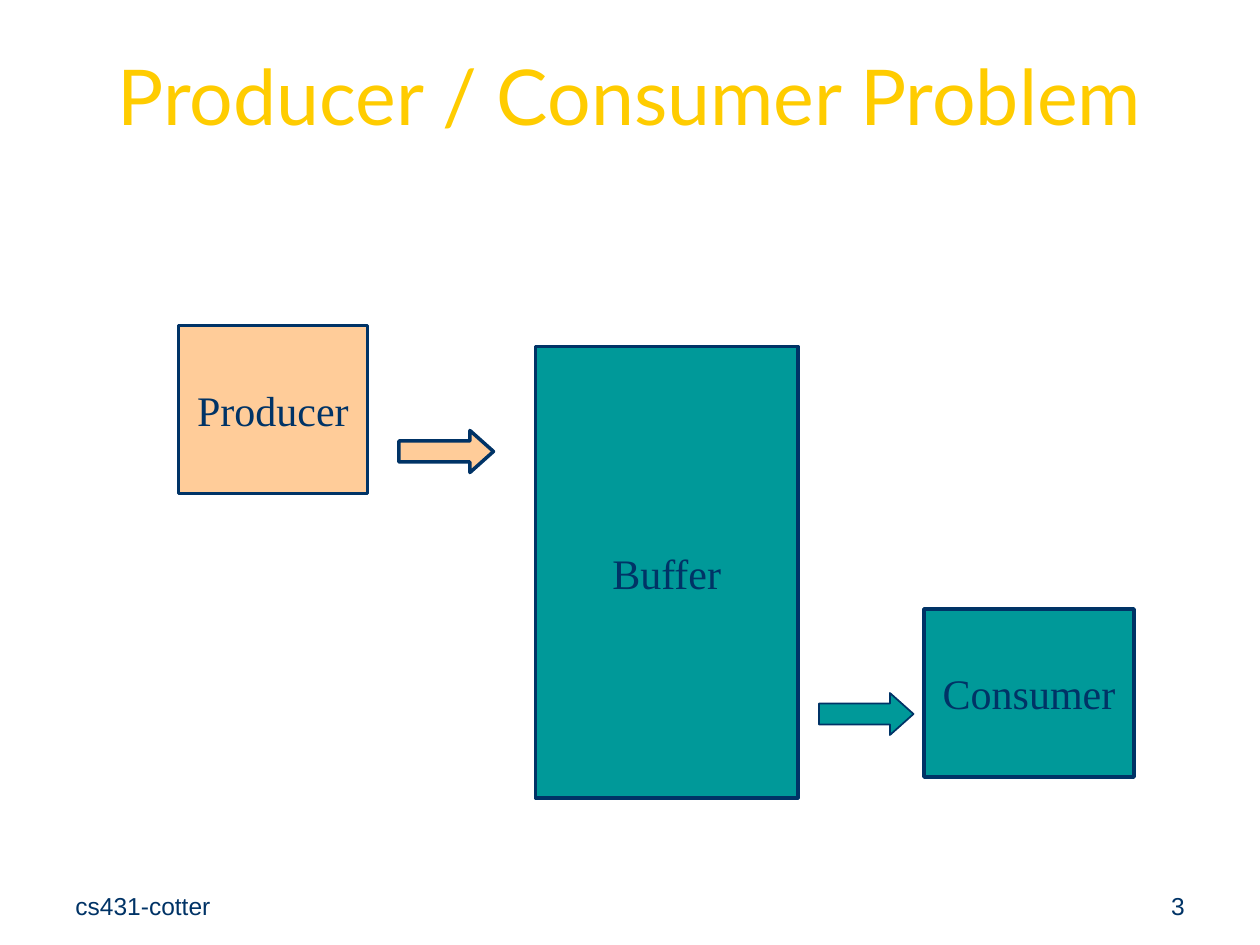
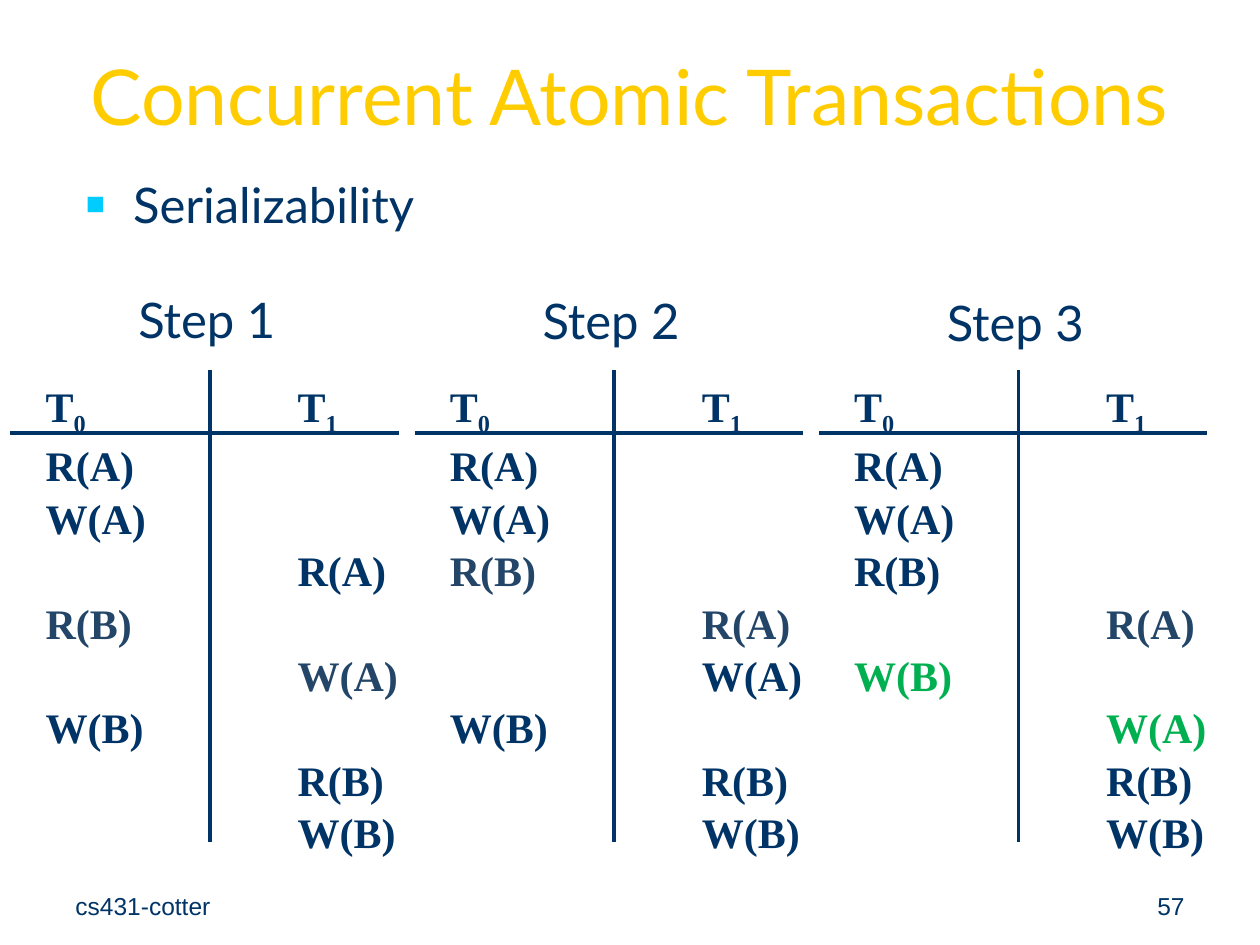
from lxml.etree import SubElement
from pptx import Presentation
from pptx.dml.color import RGBColor
from pptx.enum.shapes import MSO_CONNECTOR as Connector, MSO_SHAPE as Preset
from pptx.enum.text import MSO_ANCHOR as Anchor, PP_ALIGN as Align
from pptx.oxml.ns import qn
from pptx.util import Pt

NAVY = RGBColor(0x00, 0x33, 0x66)
SLATE = RGBColor(0x22, 0x45, 0x68)
GOLD = RGBColor(0xFF, 0xCC, 0x00)
TEAL = RGBColor(0x00, 0x99, 0x99)
PEACH = RGBColor(0xFF, 0xCC, 0x99)
GREEN = RGBColor(0x00, 0xB0, 0x50)
CYAN = "00CCFF"

HEADING_FONT, FOOTER_FONT, DIAGRAM_FONT = "Lato", "Arial", "Times New Roman"
OPERATIONS = ("R(A)", "W(A)", "R(B)", "W(B)")
STEP_PITCH = 231
STEPS = (
    ("Step 1", 162, "00101011", {3: SLATE, 4: SLATE}),
    ("Step 2", 162.5, "00011011", {2: SLATE, 3: SLATE}),
    ("Step 3", 163.5, "00010111", {3: SLATE, 4: GREEN, 5: GREEN}),
)


class Deck:
    """Draws the lecture's slide elements in one shared style."""

    def __init__(self):
        self.presentation = Presentation()
        self.presentation.slide_width = Pt(720)
        self.presentation.slide_height = Pt(540)
        self.slide = None

    def new_slide(self, title, number):
        self.slide = self.presentation.slides.add_slide(self.presentation.slide_layouts[6])
        self.text(title, 36, 0, 648, 108, 44, HEADING_FONT, GOLD, Align.CENTER, Anchor.MIDDLE)
        self.text("cs431-cotter", 36, 492, 168, 37.5, 14, FOOTER_FONT, anchor=Anchor.BOTTOM)
        self.text(str(number), 516, 492, 168, 37.5, 14, FOOTER_FONT,
                  align=Align.RIGHT, anchor=Anchor.BOTTOM)

    def style(self, font, size, family, color, bold=False):
        font.size, font.name, font.bold = Pt(size), family, bold
        font.color.rgb = color

    def frame(self, left, top, width, height, anchor=Anchor.TOP):
        frame = self.slide.shapes.add_textbox(Pt(left), Pt(top), Pt(width), Pt(height)).text_frame
        frame.word_wrap = True
        frame.vertical_anchor = anchor
        return frame

    def text(self, words, left, top, width, height, size, family,
             color=NAVY, align=Align.LEFT, anchor=Anchor.TOP):
        paragraph = self.frame(left, top, width, height, anchor).paragraphs[0]
        paragraph.text = words
        paragraph.alignment = align
        self.style(paragraph.runs[0].font, size, family, color)
        return paragraph

    def bullet(self, words, left, top, width, height):
        paragraph = self.text(words, left, top, width, height, 28, HEADING_FONT)
        properties = paragraph._p.get_or_add_pPr()
        properties.set("marL", str(Pt(27)))
        properties.set("indent", str(Pt(-27)))
        SubElement(SubElement(properties, qn("a:buClr")), qn("a:srgbClr")).set("val", CYAN)
        SubElement(properties, qn("a:buSzPct")).set("val", "65000")
        SubElement(properties, qn("a:buFont")).set("typeface", FOOTER_FONT)
        SubElement(properties, qn("a:buChar")).set("char", "■")

    def shape(self, preset, left, top, width, height, fill, weight=2):
        shape = self.slide.shapes.add_shape(preset, Pt(left), Pt(top), Pt(width), Pt(height))
        shape.shadow.inherit = False
        shape.fill.solid()
        shape.fill.fore_color.rgb = fill
        shape.line.color.rgb = NAVY
        shape.line.width = Pt(weight)
        return shape

    def box(self, label, left, top, width, height, fill):
        frame = self.shape(Preset.RECTANGLE, left, top, width, height, fill).text_frame
        frame.text = label
        frame.word_wrap = False
        frame.vertical_anchor = Anchor.MIDDLE
        frame.paragraphs[0].alignment = Align.CENTER
        self.style(frame.paragraphs[0].runs[0].font, 24, DIAGRAM_FONT, NAVY)

    def arrow(self, left, top, fill, weight):
        arrow = self.shape(Preset.RIGHT_ARROW, left, top, 54, 24, fill, weight)
        arrow.adjustments[1] = 0.56

    def line(self, x1, y1, x2, y2):
        line = self.slide.shapes.add_connector(Connector.STRAIGHT, Pt(x1), Pt(y1), Pt(x2), Pt(y2))
        line.line.color.rgb = NAVY
        line.line.width = Pt(2)
        SubElement(line._element.spPr, qn("a:effectLst"))

    def row(self, paragraph, pieces, color):
        tabs = SubElement(paragraph._p.get_or_add_pPr(), qn("a:tabLst"))
        tab = SubElement(tabs, qn("a:tab"))
        tab.set("pos", str(Pt(144)))
        tab.set("algn", "l")
        for words, lowered in pieces:
            run = paragraph.add_run()
            run.text = words
            self.style(run.font, 24, DIAGRAM_FONT, color, bold=True)
            if lowered:
                run._r.get_or_add_rPr().set("baseline", "-25000")

    def schedule(self, left, order, highlights):
        frame = self.frame(left + 13, 213.7, 232, 268)
        heading = (("T", False), ("0\t", True), ("T", False), ("1", True))
        self.row(frame.paragraphs[0], heading, NAVY)
        pending = {"0": iter(OPERATIONS), "1": iter(OPERATIONS)}
        for index, transaction in enumerate(order):
            paragraph = frame.add_paragraph()
            paragraph.space_before = Pt(1.2)
            words = "\t" * int(transaction) + next(pending[transaction])
            self.row(paragraph, ((words, False),), highlights.get(index, NAVY))
        self.line(left, 247.5, left + 222, 247.5)
        self.line(left + 114, 211.5, left + 114, 481)


def main():
    deck = Deck()

    deck.new_slide("Producer / Consumer Problem", 3)
    deck.box("Buffer", 306, 198, 150, 258, TEAL)
    deck.box("Producer", 102, 186, 108, 96, PEACH)
    deck.arrow(228, 246, PEACH, 2)
    deck.box("Consumer", 528, 348, 120, 96, TEAL)
    deck.arrow(468, 396, TEAL, 1)

    deck.new_slide("Concurrent Atomic Transactions", 57)
    deck.bullet("Serializability", 42, 96, 648, 54)
    for column, (label, label_top, order, highlights) in enumerate(STEPS):
        left = 6 + column * STEP_PITCH
        deck.schedule(left, order, highlights)
        deck.text(label, left + 66, label_top, 100, 41, 28, HEADING_FONT)

    deck.presentation.save("out.pptx")


if __name__ == "__main__":
    main()
